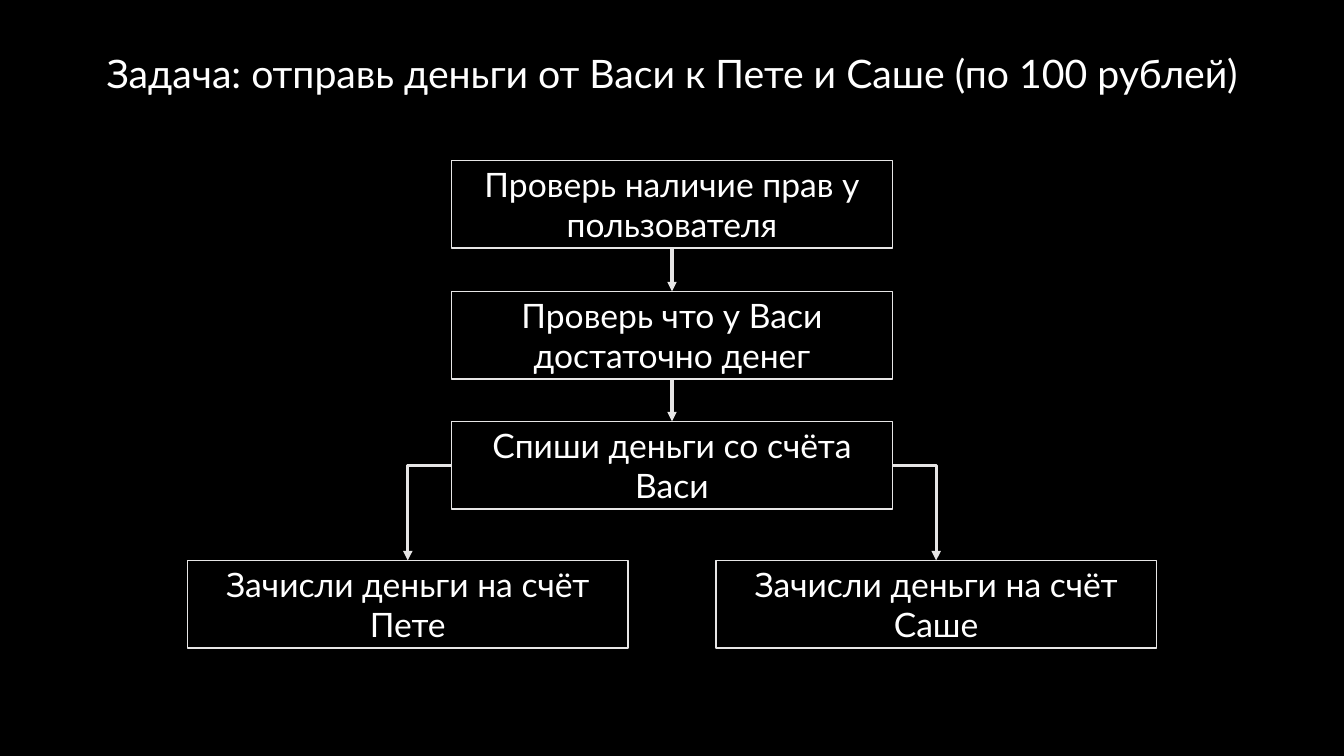
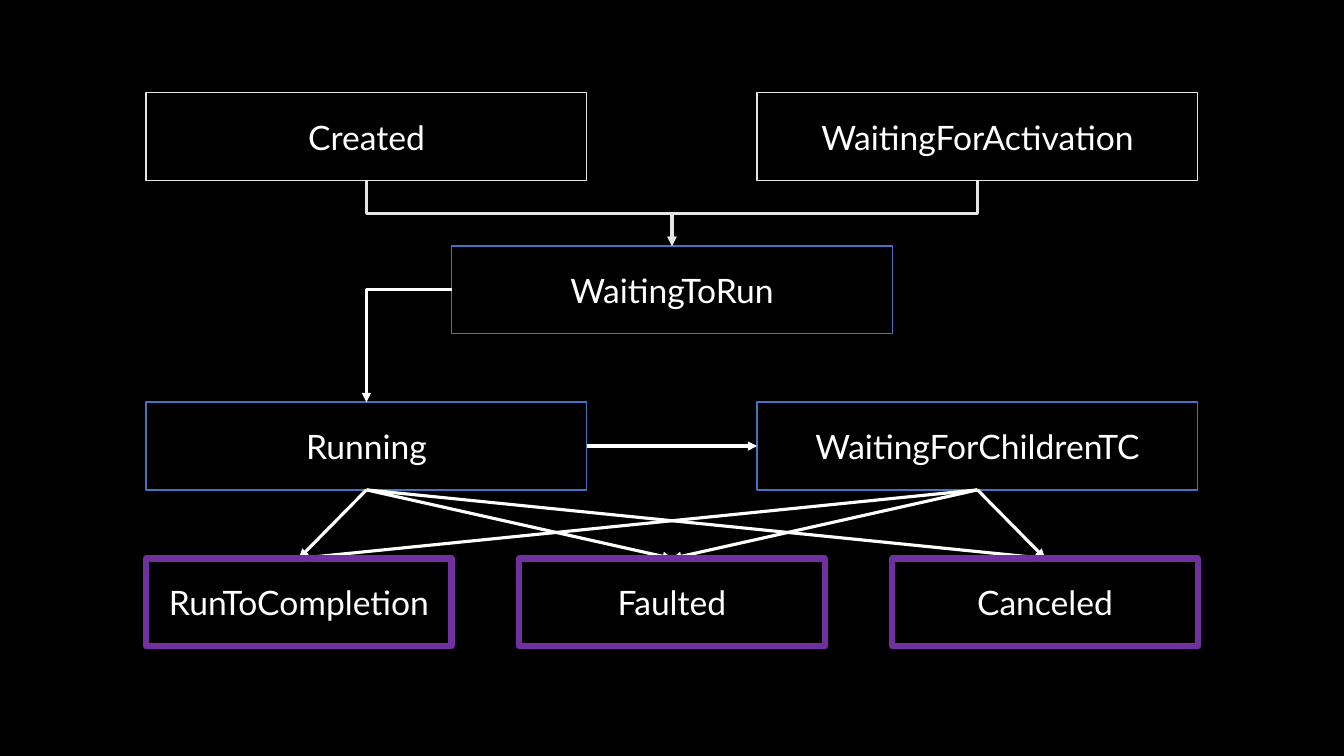
import dataclasses
import enum

import lxml.etree
import pptx
import pptx.dml.color
import pptx.enum.shapes
import pptx.enum.text
import pptx.oxml.ns
import pptx.presentation
import pptx.shapes.autoshape
import pptx.slide
import pptx.util

Inches = pptx.util.Inches
RGBColor = pptx.dml.color.RGBColor

BLACK = RGBColor(0x00, 0x00, 0x00)
WHITE = RGBColor(0xFF, 0xFF, 0xFF)
GREY = RGBColor(0xE7, 0xE6, 0xE6)
BLUE = RGBColor(0x44, 0x72, 0xC4)
PURPLE = RGBColor(0x70, 0x30, 0xA0)

FONT = "Lato"
SLIDE_WIDTH = 13.33
SLIDE_HEIGHT = 7.5
STEP_WIDTH = 4.37
STEP_HEIGHT = 0.87
FINAL_WIDTH = 3.03


class Side(enum.IntEnum):
    TOP = 0
    LEFT = 1
    BOTTOM = 2
    RIGHT = 3


class Route(enum.Enum):
    STRAIGHT = "straightConnector1"
    CORNER = "bentConnector2"
    ZIGZAG = "bentConnector3"


@dataclasses.dataclass(frozen=True)
class Step:
    label: str
    offset: float
    top: float
    outline: RGBColor = GREY
    width: float = STEP_WIDTH
    weight: float = 1


@dataclasses.dataclass(frozen=True)
class Arrow:
    source: Step
    target: Step
    leaves: Side = Side.BOTTOM
    enters: Side = Side.TOP
    route: Route = Route.STRAIGHT
    color: RGBColor = WHITE


def style_text(frame: pptx.text.text.TextFrame, text: str, size: float) -> None:
    frame.text = text
    paragraph = frame.paragraphs[0]
    paragraph.alignment = pptx.enum.text.PP_ALIGN.CENTER
    font = paragraph.runs[0].font
    font.name = FONT
    font.size = pptx.util.Pt(size)
    font.color.rgb = WHITE


def add_black_slide(deck: pptx.presentation.Presentation) -> pptx.slide.Slide:
    slide = deck.slides.add_slide(deck.slide_layouts[6])
    slide.background.fill.solid()
    slide.background.fill.fore_color.rgb = BLACK
    return slide


def add_title(slide: pptx.slide.Slide, text: str) -> None:
    title = slide.shapes.add_textbox(Inches(0.91), Inches(0.44), Inches(11.51), Inches(0.57))
    title.text_frame.word_wrap = False
    style_text(title.text_frame, text, 28)


def draw_step(slide: pptx.slide.Slide, step: Step) -> pptx.shapes.autoshape.Shape:
    left = (SLIDE_WIDTH - step.width) / 2 + step.offset
    box = slide.shapes.add_shape(
        pptx.enum.shapes.MSO_SHAPE.RECTANGLE,
        Inches(left), Inches(step.top), Inches(step.width), Inches(STEP_HEIGHT),
    )
    box.shadow.inherit = False
    box.fill.background()
    box.line.color.rgb = step.outline
    box.line.width = pptx.util.Pt(step.weight)
    box.text_frame.word_wrap = True
    box.text_frame.vertical_anchor = pptx.enum.text.MSO_ANCHOR.MIDDLE
    style_text(box.text_frame, step.label, 24)
    return box


def turn_downwards(connector: pptx.shapes.connector.Connector) -> None:
    run = connector.end_x - connector.begin_x
    drop = connector.end_y - connector.begin_y
    center_x = (connector.begin_x + connector.end_x) // 2
    center_y = (connector.begin_y + connector.end_y) // 2
    connector.width, connector.height = drop, abs(run)
    connector.left = center_x - drop // 2
    connector.top = center_y - abs(run) // 2
    frame = connector.element.spPr.find(pptx.oxml.ns.qn("a:xfrm"))
    frame.set("flipH", "1" if run > 0 else "0")
    frame.set("rot", str((270 if run > 0 else 90) * 60000))


def draw_arrow(
    slide: pptx.slide.Slide,
    arrow: Arrow,
    boxes: dict[Step, pptx.shapes.autoshape.Shape],
) -> None:
    kinds = pptx.enum.shapes.MSO_CONNECTOR
    kind = kinds.STRAIGHT if arrow.route is Route.STRAIGHT else kinds.ELBOW
    connector = slide.shapes.add_connector(kind, 0, 0, 0, 0)
    connector.begin_connect(boxes[arrow.source], arrow.leaves.value)
    connector.end_connect(boxes[arrow.target], arrow.enters.value)
    if arrow.route is Route.ZIGZAG:
        turn_downwards(connector)
    connector.line.color.rgb = arrow.color
    connector.line.width = pptx.util.Pt(2.25)
    qn = pptx.oxml.ns.qn
    properties = connector.element.spPr
    properties.find(qn("a:prstGeom")).set("prst", arrow.route.value)
    lxml.etree.SubElement(properties.find(qn("a:ln")), qn("a:tailEnd"), type="triangle")
    lxml.etree.SubElement(properties, qn("a:effectLst"))


def draw_flow(slide: pptx.slide.Slide, steps: list[Step], arrows: list[Arrow]) -> None:
    boxes = {step: draw_step(slide, step) for step in steps}
    for arrow in arrows:
        draw_arrow(slide, arrow, boxes)


def build_transfer(deck: pptx.presentation.Presentation) -> None:
    slide = add_black_slide(deck)
    add_title(slide, "Задача: отправь деньги от Васи к Пете и Саше (по 100 рублей)")
    petya = Step("Зачисли деньги на счёт Пете", -2.62, 5.56)
    sasha = Step("Зачисли деньги на счёт Саше", 2.62, 5.56)
    rights = Step("Проверь наличие прав у пользователя", 0, 1.59)
    balance = Step("Проверь что у Васи достаточно денег", 0, 2.89)
    debit = Step("Спиши деньги со счёта Васи", 0, 4.18)
    draw_flow(slide, [petya, sasha, rights, balance, debit], [
        Arrow(debit, petya, Side.LEFT, route=Route.CORNER, color=GREY),
        Arrow(debit, sasha, Side.RIGHT, route=Route.CORNER, color=GREY),
        Arrow(balance, debit, color=GREY),
        Arrow(rights, balance, color=GREY),
    ])


def build_task_states(deck: pptx.presentation.Presentation) -> None:
    slide = add_black_slide(deck)
    created = Step("Created", -3.03, 0.92)
    activation = Step("WaitingForActivation", 3.03, 0.92)
    waiting = Step("WaitingToRun", 0, 2.44, BLUE)
    running = Step("Running", -3.03, 3.99, BLUE)
    children = Step("WaitingForChildrenTC", 3.03, 3.99, BLUE)
    finals = [
        Step(label, column * 3.7, 5.54, PURPLE, FINAL_WIDTH, 4.5)
        for column, label in enumerate(["RunToCompletion", "Faulted", "Canceled"], start=-1)
    ]
    draw_flow(slide, [created, activation, waiting, running, children, *finals], [
        Arrow(created, waiting, route=Route.ZIGZAG, color=GREY),
        Arrow(activation, waiting, route=Route.ZIGZAG, color=GREY),
        Arrow(waiting, running, Side.LEFT, route=Route.CORNER),
        Arrow(running, children, Side.RIGHT, Side.LEFT),
        *(Arrow(state, final) for state in (running, children) for final in finals),
    ])
    tree = slide.shapes.element
    final_labels = {final.label for final in finals}
    for shape in list(slide.shapes):
        if shape.has_text_frame and shape.text_frame.text in final_labels:
            tree.append(shape.element)


def main() -> None:
    deck = pptx.Presentation()
    deck.slide_width = Inches(SLIDE_WIDTH)
    deck.slide_height = Inches(SLIDE_HEIGHT)
    build_transfer(deck)
    build_task_states(deck)
    deck.save("out.pptx")


if __name__ == "__main__":
    main()
